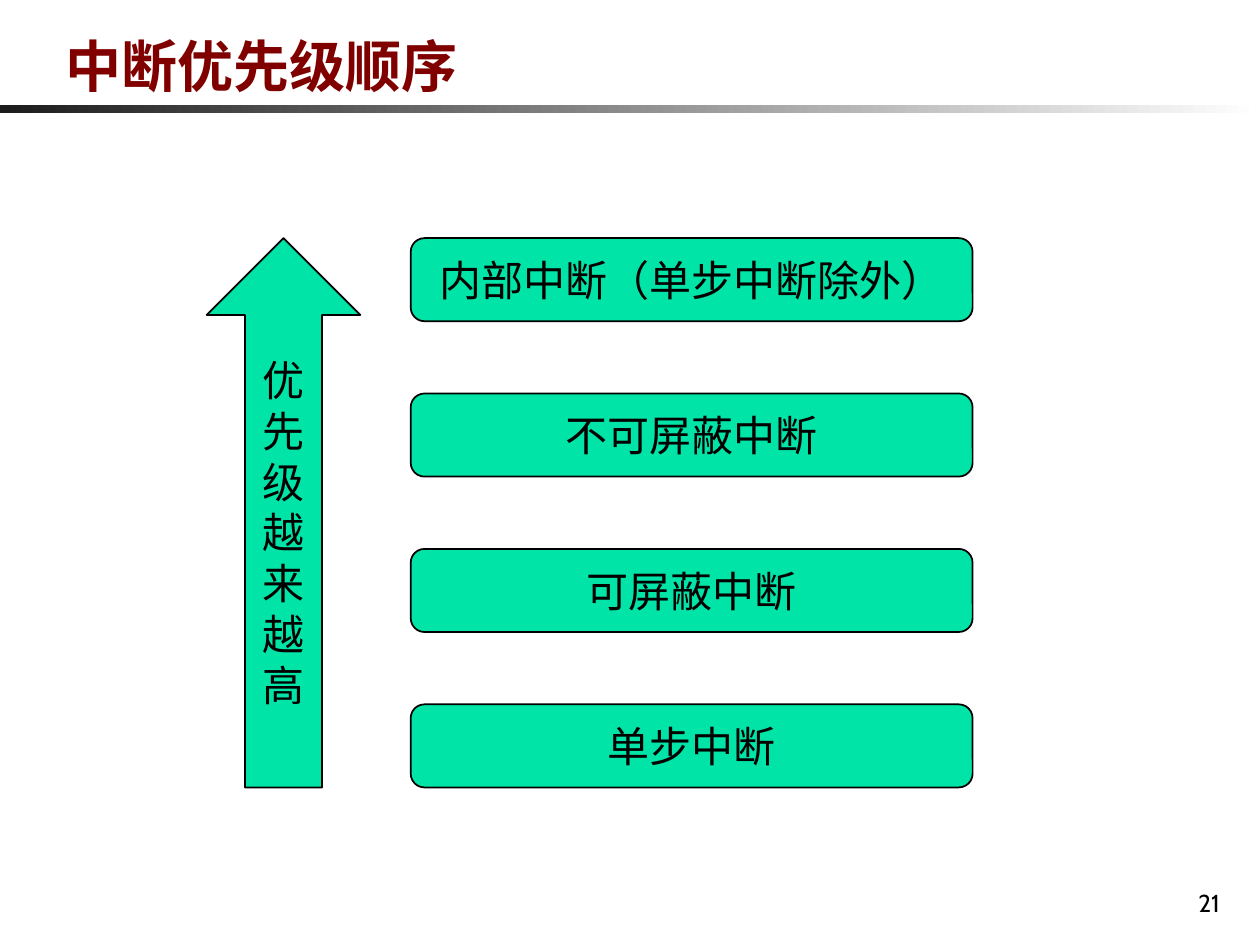
from dataclasses import dataclass

import pptx
import pptx.dml.color
import pptx.enum.shapes
import pptx.enum.text
import pptx.oxml.ns
import pptx.util
from lxml import etree

Inches = pptx.util.Inches
Pt = pptx.util.Pt
Shape = pptx.enum.shapes.MSO_SHAPE
Align = pptx.enum.text.PP_ALIGN
Anchor = pptx.enum.text.MSO_ANCHOR

CJK = "Noto Sans CJK SC"
GREEN = "00E4A8"
BLACK = "000000"
TOP, TOTAL_HEIGHT, LEVEL_HEIGHT = 1.89, 4.36, 0.66
LEVELS = ["内部中断（单步中断除外）", "不可屏蔽中断", "可屏蔽中断", "单步中断"]


@dataclass
class Block:
    kind: int
    text: str
    left: float
    top: float
    width: float
    height: float


def color(value: str) -> pptx.dml.color.RGBColor:
    return pptx.dml.color.RGBColor.from_string(value)


def write(frame, text: str, align, anchor, ink: str, font_format: dict) -> None:
    frame.word_wrap = True
    frame.vertical_anchor = anchor
    paragraph = frame.paragraphs[0]
    paragraph.alignment = align
    run = paragraph.add_run()
    run.text = text
    for name, value in font_format.items():
        setattr(run.font, name, value)
    run.font.color.rgb = color(ink)
    east_asian = etree.SubElement(run.font._element, pptx.oxml.ns.qn("a:ea"))
    east_asian.set("typeface", CJK)


def draw_block(slide, block: Block):
    shape = slide.shapes.add_shape(
        block.kind, Inches(block.left), Inches(block.top),
        Inches(block.width), Inches(block.height))
    shape.shadow.inherit = False
    shape.fill.solid()
    shape.fill.fore_color.rgb = color(GREEN)
    shape.line.color.rgb = color(BLACK)
    shape.line.width = Pt(1)
    write(shape.text_frame, block.text, Align.CENTER, Anchor.MIDDLE, BLACK,
          {"name": CJK, "size": Pt(24)})
    return shape


def draw_header(slide, text: str) -> None:
    rule = slide.shapes.add_shape(
        Shape.RECTANGLE, 0, Inches(0.83), Inches(10), Inches(0.07))
    rule.shadow.inherit = False
    rule.line.fill.background()
    rule.fill.gradient()
    rule.fill.gradient_angle = 0
    for stop, shade in zip(rule.fill.gradient_stops, ["1C1C1C", "FFFFFF"]):
        stop.color.rgb = color(shade)

    title = slide.shapes.title
    placement = {"left": 0.42, "top": 0.15, "width": 8.52, "height": 0.68}
    for name, value in placement.items():
        setattr(title, name, Inches(value))
    title.text_frame.auto_size = pptx.enum.text.MSO_AUTO_SIZE.NONE
    write(title.text_frame, text, Align.LEFT, Anchor.BOTTOM, "800000",
          {"name": CJK, "size": Pt(32), "bold": True})


def main() -> None:
    deck = pptx.Presentation()
    deck.slide_width = Inches(10)
    deck.slide_height = Inches(7.5)
    slide = deck.slides.add_slide(deck.slide_layouts[5])
    draw_header(slide, "中断优先级顺序")

    priority = draw_block(slide, Block(
        Shape.UP_ARROW, "优先级越来越高", 1.64, TOP, 1.22, TOTAL_HEIGHT))
    priority.text_frame.paragraphs[0].line_spacing = Pt(29)

    pitch = (TOTAL_HEIGHT - LEVEL_HEIGHT) / (len(LEVELS) - 1)
    for rank, level in enumerate(LEVELS):
        draw_block(slide, Block(
            Shape.ROUNDED_RECTANGLE, level, 3.26, TOP + rank * pitch,
            4.46, LEVEL_HEIGHT))

    page_number = slide.shapes.add_textbox(
        Inches(7.7), Inches(6.83), Inches(2.08), Inches(0.5))
    write(page_number.text_frame, "21", Align.RIGHT, Anchor.BOTTOM, BLACK,
          {"name": "Cabin", "size": Pt(14)})
    deck.save("out.pptx")


if __name__ == "__main__":
    main()
